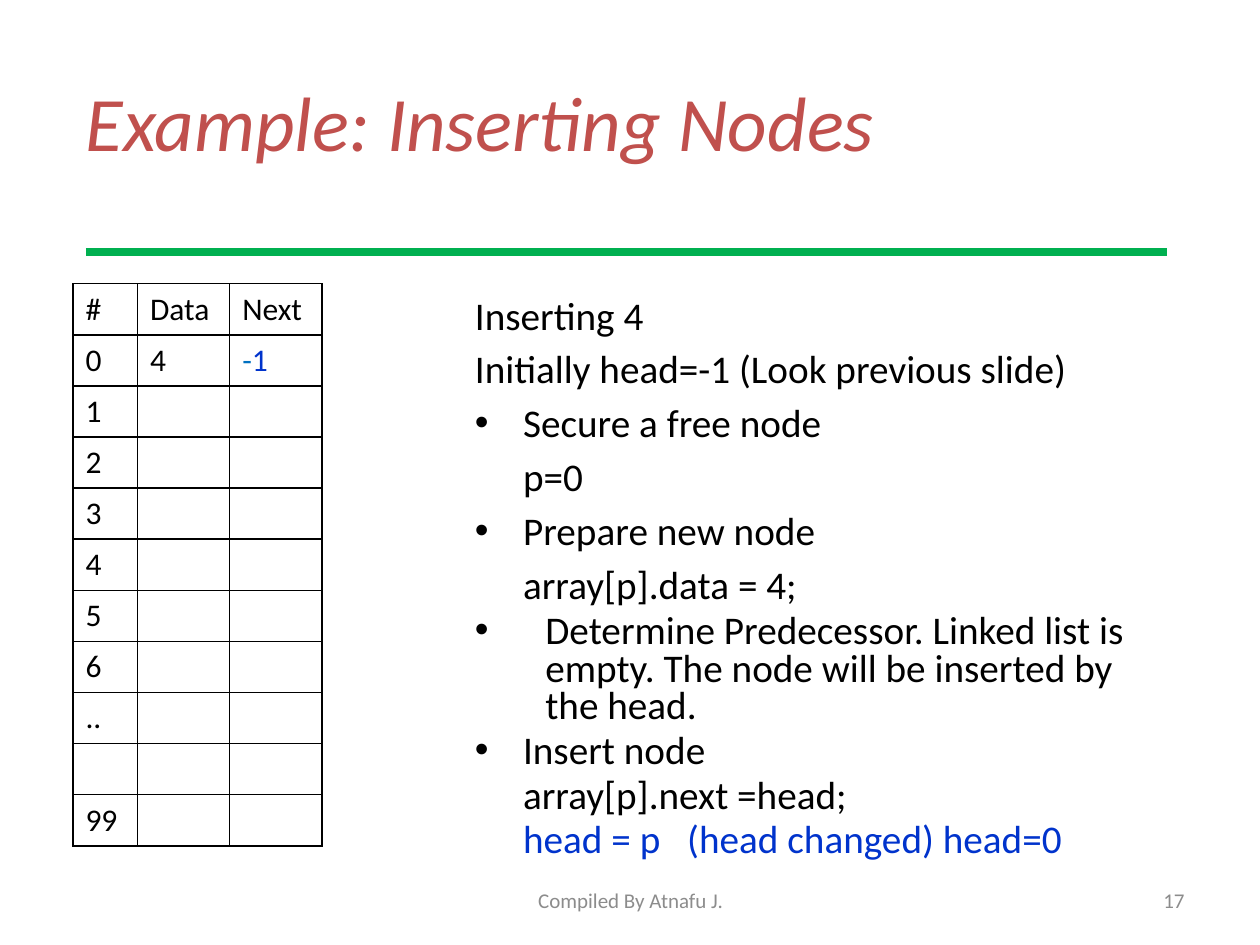
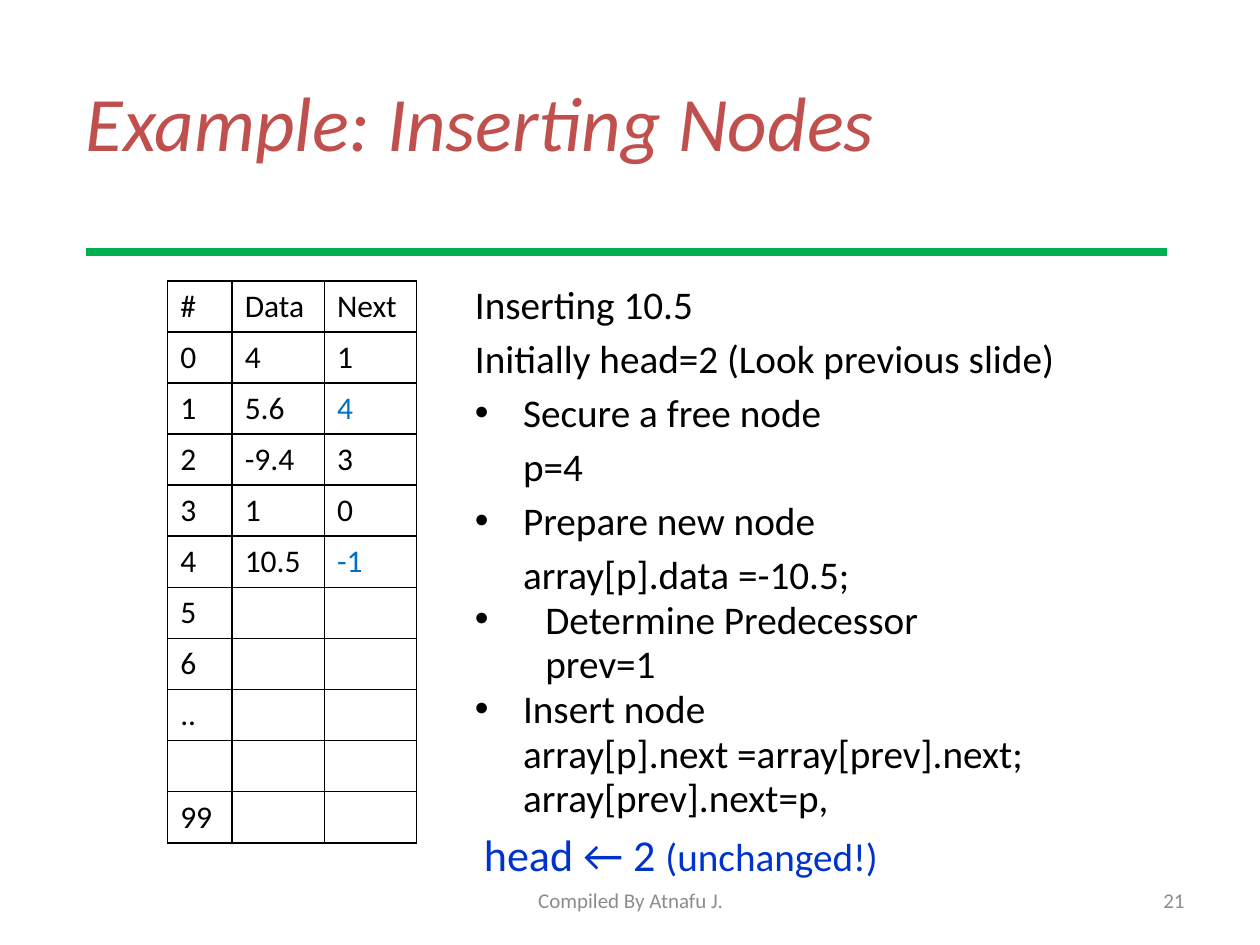
from lxml import etree
from pptx import Presentation
from pptx import util as u
from pptx.dml.color import RGBColor
from pptx.enum import shapes, text
from pptx.oxml import ns

COLORS = {"title": "C0504D", "rule": "00B050", "text": "000000",
          "footer": "8C8C8C", "head": "0033CC", "link": "0070C0"}
FONT = "Calibri"
BODY_SIZE = 22.4
WIDE_SPACE = "1010"  # extra width of a widened space, in 1/100 pt

# Paragraph kinds: left margin and first-line indent in cm, line spacing, bullet
KINDS = {
    "opening": (0, 0, 0.8, False),
    "plain": (0, 0, 1.0, False),
    "step": (0.97, -0.97, 1.0, True),
    "code": (0.97, 0, 1.0, False),
    "tight step": (0.97, -0.97, 0.8, True),
    "tight code": (0.97, 0, 0.8, False),
    "deep step": (1.42, -1.42, 0.8, True),
    "deep code": (1.42, 0, 0.8, False),
    "result": (0.18, 0, 1.0, False),
}


def set_attributes(target, values):
    for name, value in values.items():
        setattr(target, name, value)


def add_xml(parent, tag, **attributes):
    return etree.SubElement(parent, ns.qn(tag), attributes)


class Deck:
    """Holds the shared style and the slide being built."""

    def __init__(self):
        self.presentation = Presentation()
        set_attributes(self.presentation, {"slide_width": u.Cm(25.4),
                                           "slide_height": u.Cm(19.05)})
        self.slide = None

    def add_runs(self, paragraph, runs, size, color="text", italic=False):
        """Runs are a string or a list of (string, changed formats)."""
        if isinstance(runs, str):
            runs = [(runs, {})]
        for words, changes in runs:
            style = {"size": size, "color": color, **changes}
            run = paragraph.add_run()
            run.text = words
            set_attributes(run.font, {"name": FONT, "size": u.Pt(style["size"]),
                                      "italic": italic, "bold": False})
            run.font.color.rgb = RGBColor.from_string(COLORS[style["color"]])
            if "spacing" in style:
                run._r.get_or_add_rPr().set("spc", style["spacing"])

    def place(self, shape, left, top, width, height):
        set_attributes(shape, {"left": u.Cm(left), "top": u.Cm(top),
                               "width": u.Cm(width), "height": u.Cm(height)})
        set_attributes(shape.text_frame, {"word_wrap": True,
                                          "auto_size": text.MSO_AUTO_SIZE.NONE})

    def start_slide(self, title, number):
        layout = self.presentation.slide_layouts[1]
        self.slide = self.presentation.slides.add_slide(layout)
        self.title(title)
        self.rule()
        self.footer("Compiled By Atnafu J.", 8.69, 8.05, text.PP_ALIGN.CENTER)
        self.footer(number, 18.21, 5.92, text.PP_ALIGN.RIGHT)

    def title(self, words):
        shape = self.slide.shapes.title
        self.place(shape, 1.47, 0.84, 22.86, 3.18)
        shape.text_frame.vertical_anchor = text.MSO_ANCHOR.MIDDLE
        paragraph = shape.text_frame.paragraphs[0]
        paragraph.alignment = text.PP_ALIGN.LEFT
        self.add_runs(paragraph, words, 44, "title", italic=True)

    def rule(self):
        line = self.slide.shapes.add_connector(
            shapes.MSO_CONNECTOR.STRAIGHT,
            u.Cm(1.73), u.Cm(5.08), u.Cm(23.52), u.Cm(5.08))
        line.line.color.rgb = RGBColor.from_string(COLORS["rule"])
        line.line.width = u.Pt(4.25)
        add_xml(line._element.spPr, "a:effectLst")

    def footer(self, words, left, width, alignment):
        box = self.slide.shapes.add_textbox(0, 0, 0, 0)
        self.place(box, left, 17.65, width, 1.01)
        box.text_frame.vertical_anchor = text.MSO_ANCHOR.MIDDLE
        paragraph = box.text_frame.paragraphs[0]
        paragraph.alignment = alignment
        self.add_runs(paragraph, words, 12, "footer")

    def body(self, top, entries):
        shape = self.slide.placeholders[1]
        self.place(shape, 9.32, top, 14.58, 11.63)
        frame = shape.text_frame
        for index, (kind, runs) in enumerate(entries):
            paragraph = frame.add_paragraph() if index else frame.paragraphs[0]
            left, first, spacing, bullet = KINDS[kind]
            set_attributes(paragraph, {"line_spacing": spacing,
                                       "space_before": u.Pt(4 if index else 0)})
            properties = paragraph._p.get_or_add_pPr()
            properties.set("marL", str(u.Cm(left)))
            properties.set("indent", str(u.Cm(first)))
            if bullet:
                add_xml(properties, "a:buFont", typeface="Arial")
                add_xml(properties, "a:buChar", char="•")
            else:
                add_xml(properties, "a:buNone")
            self.add_runs(paragraph, runs, BODY_SIZE)

    def node_table(self, left, top, nodes):
        """Nodes are (data, next) pairs for the first array places."""
        labels = ["#", *map(str, range(7)), "..", "", "99"]
        pairs = [("Data", "Next"), *nodes]
        pairs += [("", "")] * (len(labels) - len(pairs))
        widths, row_height = (1.3, 1.86, 1.86), 1.03
        table = self.slide.shapes.add_table(
            len(labels), len(widths), u.Cm(left), u.Cm(top),
            u.Cm(sum(widths)), u.Cm(row_height * len(labels))).table
        set_attributes(table, {"first_row": False, "horz_banding": False})
        for column, width in zip(table.columns, widths):
            column.width = u.Cm(width)
        for row, label, pair in zip(table.rows, labels, pairs):
            row.height = u.Cm(row_height)
            for cell, runs in zip(row.cells, (label, *pair)):
                cell.fill.background()
                self.border(cell)
                paragraph = cell.text_frame.paragraphs[0]
                paragraph.font.size = u.Pt(18)
                if runs:
                    self.add_runs(paragraph, runs, 18)

    def border(self, cell):
        properties = cell._tc.get_or_add_tcPr()
        for index, side in enumerate(("a:lnL", "a:lnR", "a:lnT", "a:lnB")):
            line = etree.Element(ns.qn(side), w=str(u.Pt(1)))
            add_xml(add_xml(line, "a:solidFill"), "a:srgbClr", val=COLORS["text"])
            properties.insert(index, line)


def main():
    deck = Deck()
    head, link = {"color": "head"}, {"color": "link"}

    # Inserting into the empty list
    deck.start_slide("Example: Inserting Nodes", "17")
    deck.node_table(1.47, 5.72, [("4", [("-", link), ("1", head)])])
    deck.body(5.92, [
        ("opening", "Inserting 4"),
        ("plain", "Initially head=-1 (Look previous slide)"),
        ("step", "Secure a free node"),
        ("code", "p=0"),
        ("step", "Prepare new node"),
        ("code", "array[p].data = 4;"),
        ("deep step", "Determine Predecessor. Linked list is empty. "
                      "The node will be inserted by the head."),
        ("tight step", "Insert node"),
        ("tight code", "array[p].next =head;"),
        ("tight code", [("head = p", head), (" ", {"spacing": WIDE_SPACE}),
                        ("(head changed) head=0", head)]),
    ])

    # Inserting behind a predecessor
    deck.start_slide("Example: Inserting Nodes", "21")
    deck.node_table(3.38, 5.66, [
        ("4", "1"), ("5.6", [("4", link)]), ("-9.4", "3"),
        ("1", "0"), ("10.5", [("-1", link)])])
    deck.body(5.71, [
        ("opening", "Inserting 10.5"),
        ("plain", "Initially head=2 (Look previous slide)"),
        ("step", "Secure a free node"),
        ("code", "p=4"),
        ("step", "Prepare new node"),
        ("code", "array[p].data =-10.5;"),
        ("deep step", "Determine Predecessor"),
        ("deep code", "prev=1"),
        ("tight step", "Insert node"),
        ("tight code", "array[p].next =array[prev].next;"),
        ("tight code", "array[prev].next=p,"),
        ("result", [("head ← 2 ", {"size": 25.2, **head}),
                    ("(unchanged!)", head)]),
    ])

    deck.presentation.save("out.pptx")


if __name__ == "__main__":
    main()
